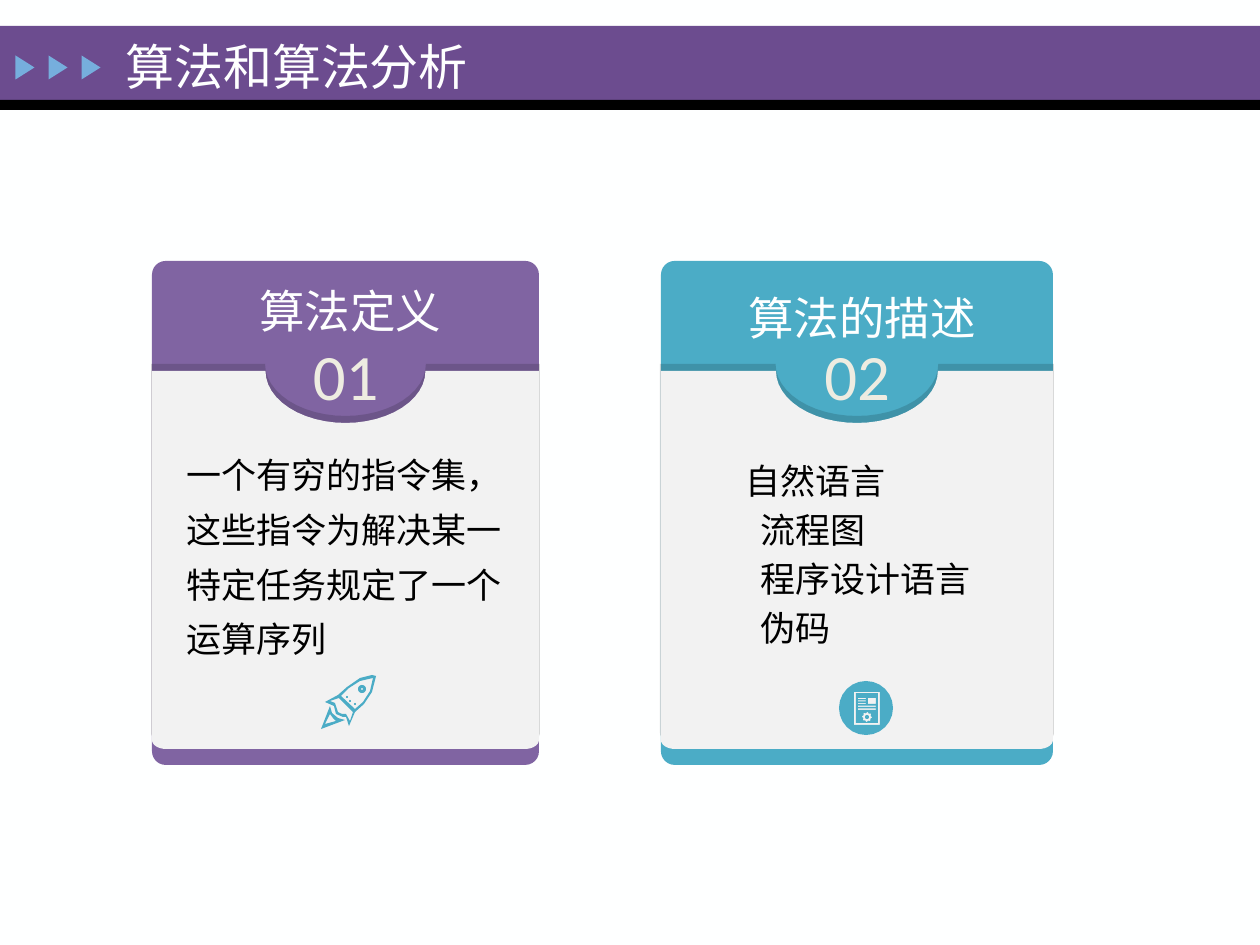
from math import cos, pi, sin

from lxml import etree
from pptx import Presentation
from pptx.dml.color import RGBColor
from pptx.enum.shapes import MSO_SHAPE
from pptx.enum.text import PP_ALIGN
from pptx.oxml.ns import qn
from pptx.util import Emu, Pt

COLORS = {
    "background": "FEFFFF", "banner": "6C4C8F", "black": "000000",
    "arrow": "76AEDD", "purple": "8064A2", "teal": "4BACC6",
    "panel": "F2F2F2", "number": "EEECE1",
}
SERIF = "Times New Roman"


def px(n):
    """Pixels to EMU, at 126 px to the inch."""
    return Emu(round(n * 914400 / 126))


def arc(cx, cy, rx, ry, start, end, steps=24):
    angles = [start + (end - start) * i / steps for i in range(steps + 1)]
    return [(cx + rx * cos(a), cy + ry * sin(a)) for a in angles]


def circle(cx, cy, r):
    return arc(cx, cy, r, r, 0, 2 * pi)


def box(left, top, right, bottom):
    return [(left, top), (right, top), (right, bottom), (left, bottom)]


class Deck:
    def __init__(self, prs):
        self.s = prs.slides.add_slide(prs.slide_layouts[6])
        self.paint(self.s.background.fill, "background")

    def paint(self, fill, color):
        fill.solid()
        fill.fore_color.rgb = RGBColor.from_string(COLORS[color])

    def finish(self, sp, color):
        self.paint(sp.fill, color)
        sp.line.fill.background()
        sp.shadow.inherit = False
        return sp

    def shape(self, kind, x, y, w, h, color):
        sp = self.s.shapes.add_shape(kind, px(x), px(y), px(w), px(h))
        return self.finish(sp, color)

    def outline(self, contours, color):
        """One freeform; a contour inside another cuts a hole."""
        builder = None
        for contour in contours:
            points = [(px(x), px(y)) for x, y in contour]
            if builder is None:
                builder = self.s.shapes.build_freeform(*points[0], scale=1.0)
            else:
                builder.move_to(*points[0])
            builder.add_line_segments(points[1:], close=True)
        return self.finish(builder.convert_to_shape(), color)

    def cast_shadow(self, sp, dist):
        effects = sp._element.spPr.find(qn("a:effectLst"))
        shadow = etree.SubElement(
            effects, qn("a:outerShdw"), blurRad="0", dist=str(px(dist)),
            dir="16200000", sx="100500", algn="b", rotWithShape="0")
        color = etree.SubElement(shadow, qn("a:srgbClr"), val=COLORS["black"])
        etree.SubElement(color, qn("a:alpha"), val="14000")

    def text(self, x, y, w, h, lines, size, color, font=SERIF, spacing=1.0,
             align=PP_ALIGN.LEFT, wrap=True):
        tf = self.s.shapes.add_textbox(px(x), px(y), px(w), px(h)).text_frame
        tf.word_wrap = wrap
        tf.text = "\n".join(lines)
        for p in tf.paragraphs:
            p.alignment = align
            p.line_spacing = spacing
            for r in p.runs:
                r.font.name = font
                r.font.size = Pt(size)
                r.font.color.rgb = RGBColor.from_string(COLORS[color])
        return tf

    def indent(self, p, left):
        pPr = p._p.get_or_add_pPr()
        pPr.set("marL", str(px(left)))
        pPr.set("indent", "0")

    def card(self, x, w, color, number, notch):
        """Coloured card with a notched panel and its number."""
        sp = self.shape(MSO_SHAPE.ROUNDED_RECTANGLE, x, 261, w, 504, color)
        sp.adjustments[0] = 0.035
        top, bottom, right, cx = 371, 749, x + w, x + w / 2
        panel = [(x, top)]
        panel += arc(cx, top, notch, 52, pi, 0)
        panel += [(right, top)]
        panel += arc(right - 14, bottom - 9, 14, 9, 0, pi / 2, 8)
        panel += arc(x + 14, bottom - 9, 14, 9, pi / 2, pi, 8)
        self.cast_shadow(self.outline([panel], "panel"), 7)
        self.text(cx - 46, 338, 92, 84, [number], 37, "number", "Calibri",
                  0.9, PP_ALIGN.CENTER, False)


def rocket():
    flame = [(330, 706), (321, 729), (345, 720), (338, 718), (332, 713)]
    flame_hole = [(330, 714), (325, 724), (336, 721), (333, 718)]
    hull = [(376, 676), (372, 675), (360, 678), (347, 687), (338, 695),
            (325, 702), (334, 706), (336, 714), (343, 717), (346, 717),
            (349, 726), (355, 712), (364, 704), (372, 692)]
    nose_hole = [(363, 702), (355, 709), (341, 696), (349, 688), (360, 681),
                 (373, 678), (370, 691)]
    fin_hole = [(353, 712), (350, 721), (346, 714), (342, 714), (338, 712),
                (336, 706), (335, 703), (330, 701), (339, 698)]
    window = [circle(362, 689, r) for r in (4, 1)]
    rivets = [circle(x, y, 1) for x, y in ((347, 697), (350, 701), (355, 704))]
    return [flame, flame_hole, hull, nose_hole, fin_hole, *window, *rivets]


def document():
    page = [circle(866, 708, 27), box(854, 692, 880, 725),
            box(856, 693, 878, 723)]
    short_lines = [box(858, y, 866, y + 1) for y in (698, 700.5, 703)]
    long_lines = [box(858, y, 876, y + 1.5) for y in (705.5, 708.5)]
    gear = []
    for i in range(32):
        r, a = (5 if i % 4 < 2 else 4), 2 * pi * i / 32
        gear.append((867 + r * cos(a), 717 + r * sin(a)))
    return [*page, box(868, 698, 876, 704), *short_lines, *long_lines,
            gear, circle(867, 717, 2)]


def main():
    prs = Presentation()
    prs.slide_width, prs.slide_height = px(1260), px(945)
    deck = Deck(prs)

    # Title banner
    deck.shape(MSO_SHAPE.RECTANGLE, 0, 26, 1260, 74, "banner")
    deck.shape(MSO_SHAPE.RECTANGLE, 0, 100, 1260, 10, "black")
    for i in range(3):
        sp = deck.shape(MSO_SHAPE.ISOSCELES_TRIANGLE, 13 + 33 * i, 58, 24, 19,
                        "arrow")
        sp.rotation = 90
    deck.text(113, 30, 1082, 94, ["算法和算法分析"], 28, "background")

    # Definition card
    deck.card(152, 387, "purple", "01", 80)
    deck.outline(rocket(), "teal")
    deck.text(174, 435, 362, 257,
              ["一个有穷的指令集，这些指令为解决某一特定任务规定了一个运算序列"],
              20, "black", spacing=1.3)
    deck.text(247, 261, 256, 77, ["算法定义"], 26, "background", spacing=1.3)

    # Description card
    deck.card(661, 392, "teal", "02", 81)
    deck.outline(document(), "teal")
    deck.text(736, 267, 282, 94, ["算法的描述"], 26, "background", spacing=1.3)
    tf = deck.text(685, 441, 358, 271,
                   ["自然语言", "流程图", "程序设计语言", "伪码"], 20, "black")
    first, *rest = tf.paragraphs
    first.line_spacing = 1.3
    deck.indent(first, 48)
    for p in rest:
        p.level = 1
        p.space_before = Pt(4)
        deck.indent(p, 63)

    prs.save("out.pptx")


if __name__ == "__main__":
    main()
